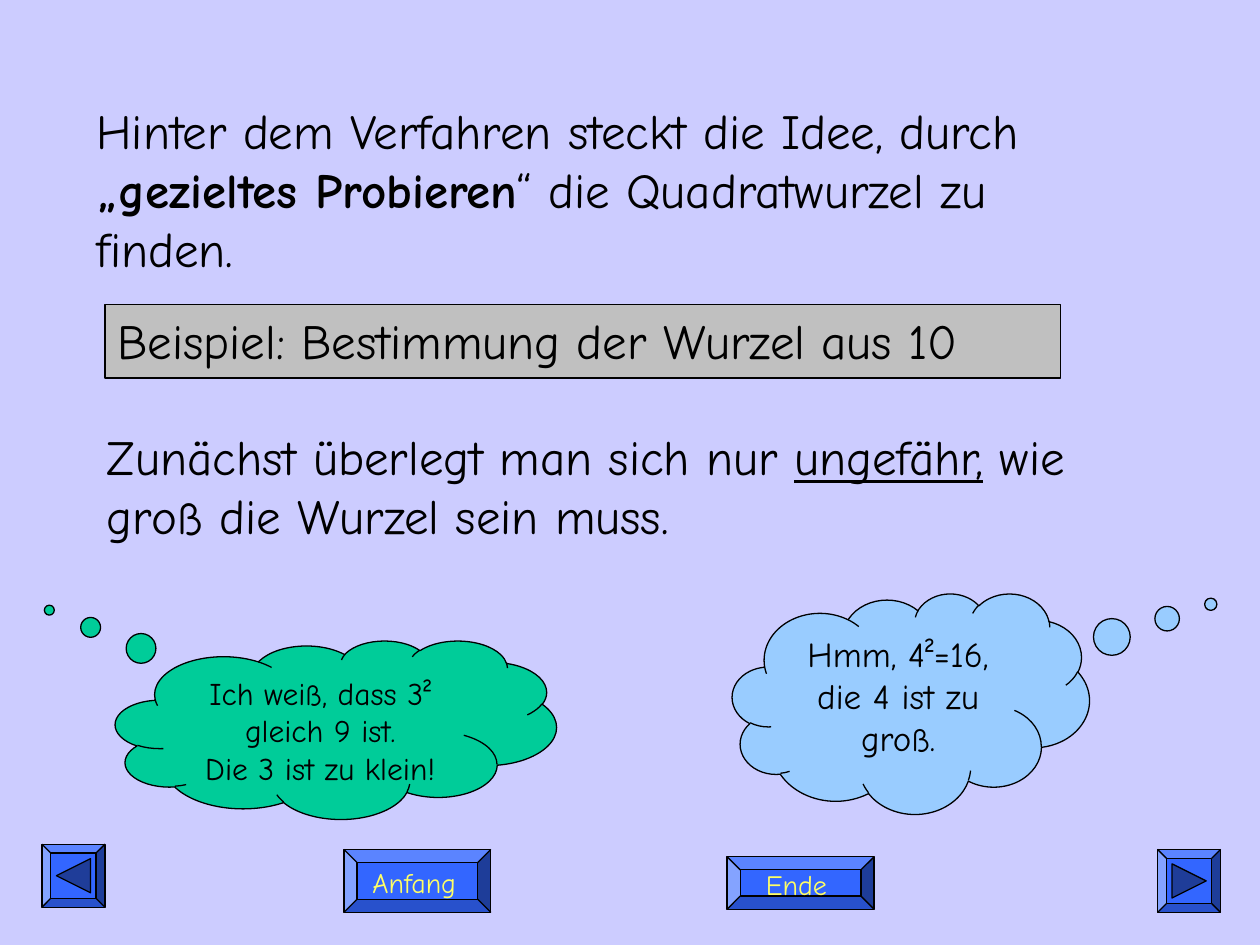
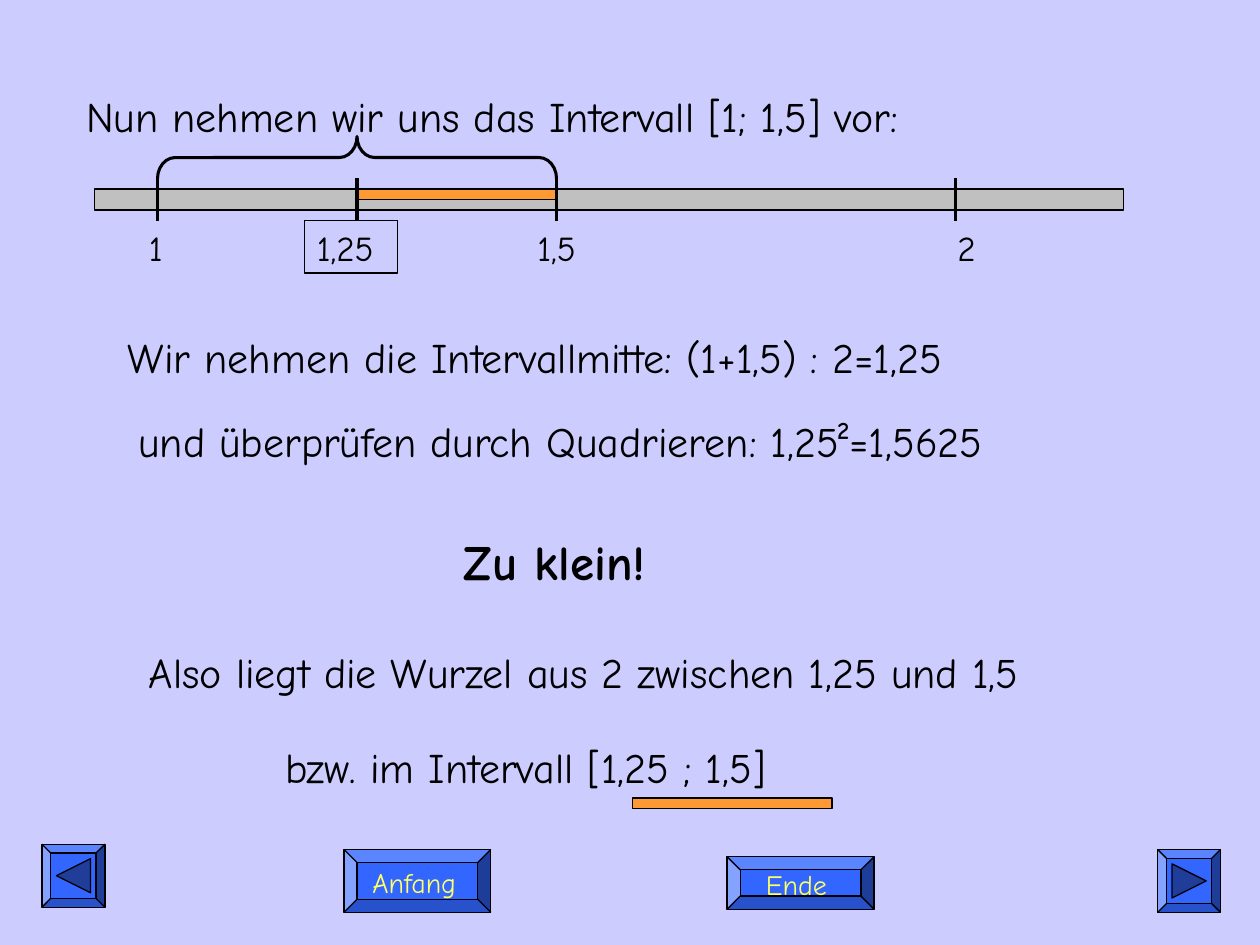
import pptx
import pptx.util
import pptx.dml.color
import pptx.enum.shapes
import pptx.enum.text
import pptx.oxml.ns
import lxml.etree

RGBColor = pptx.dml.color.RGBColor
SHAPE = pptx.enum.shapes.MSO_SHAPE
ALIGN = pptx.enum.text.PP_ALIGN

LAVENDER = RGBColor(0xCC, 0xCC, 0xFF)
BLUE = RGBColor(0x33, 0x66, 0xFF)
DARK_BLUE = RGBColor(0x1F, 0x3D, 0x99)
YELLOW = RGBColor(0xFF, 0xFF, 0x66)
SILVER = RGBColor(0xC0, 0xC0, 0xC0)
GREEN = RGBColor(0x00, 0xCC, 0x99)
SKY = RGBColor(0x99, 0xCC, 0xFF)
ORANGE = RGBColor(0xFF, 0x99, 0x33)
BLACK = RGBColor(0, 0, 0)

FONT = "Comic Neue"
COLUMNS, ROWS = 120, 90
CELL = pptx.util.Inches(10) // COLUMNS
UNIT_COLUMNS = 76
BAR_TOP, TICK_TOP, LABEL_TOP = 18, 17, 21


def cells(*counts):
    return [round(count * CELL) for count in counts]


def write(frame, paragraphs, size, color=BLACK, align=ALIGN.LEFT):
    frame.word_wrap = True
    frame.auto_size = pptx.enum.text.MSO_AUTO_SIZE.NONE
    frame.vertical_anchor = pptx.enum.text.MSO_ANCHOR.TOP
    for index, runs in enumerate(paragraphs):
        paragraph = frame.paragraphs[0] if index == 0 else frame.add_paragraph()
        paragraph.alignment = align
        for text, emphasis in runs:
            run = paragraph.add_run()
            run.text = text
            run.font.name = FONT
            run.font.size = pptx.util.Pt(size)
            run.font.color.rgb = color
            run.font.bold = emphasis == "bold"
            run.font.underline = emphasis == "underline"


def plain(*lines):
    return [[(line, "")] for line in lines]


def add_title(slide, area, paragraphs, size):
    title = slide.shapes.title
    title.left, title.top, title.width, title.height = cells(*area)
    write(title.text_frame, paragraphs, size)


def add_text(slide, area, paragraphs, size, color=BLACK):
    box = slide.shapes.add_textbox(*cells(*area))
    write(box.text_frame, paragraphs, size, color)


def add_figure(slide, kind, area, fill=None, adjustments=(), weight=0.75):
    figure = slide.shapes.add_shape(kind, *cells(*area))
    figure.shadow.inherit = False
    if fill is None:
        figure.fill.background()
    else:
        figure.fill.solid()
        figure.fill.fore_color.rgb = fill
    figure.line.color.rgb = BLACK
    figure.line.width = pptx.util.Pt(weight)
    for index, value in enumerate(adjustments):
        figure.adjustments[index] = value
    return figure


def add_thought(slide, area, tail, fill, lines, size):
    cloud = add_figure(slide, SHAPE.CLOUD_CALLOUT, area, fill, tail)
    write(cloud.text_frame, plain(*lines), size, align=ALIGN.CENTER)


def add_arrow_button(slide, left, top, rotation):
    side, arrow = 6, 3.25
    margin = (side - arrow) / 2
    add_figure(slide, SHAPE.BEVEL, (left, top, side, side), BLUE, [0.14])
    triangle = add_figure(slide, SHAPE.ISOSCELES_TRIANGLE,
                          (left + margin, top + margin, arrow, arrow), DARK_BLUE)
    triangle.rotation = rotation


def add_word_button(slide, area, bevel, label_area, label):
    add_figure(slide, SHAPE.BEVEL, area, BLUE, [bevel])
    add_text(slide, label_area, plain(label), 16, YELLOW)


def add_navigation(slide):
    add_arrow_button(slide, 4, 80.4, 270)
    add_arrow_button(slide, 110.25, 80.9, 90)
    add_word_button(slide, (32.75, 80.9, 14, 6), 0.21, (34.3, 81.8, 12, 4.5), "Anfang")
    add_word_button(slide, (69.25, 81.6, 14, 5), 0.25, (71.75, 82, 16, 4.5), "Ende")


def number_column(value):
    return 15 + (value - 1) * UNIT_COLUMNS


def add_tick(slide, value):
    column = number_column(value)
    tick = slide.shapes.add_connector(
        pptx.enum.shapes.MSO_CONNECTOR.STRAIGHT,
        *cells(column, TICK_TOP, column, LABEL_TOP))
    tick.line.color.rgb = BLACK
    tick.line.width = pptx.util.Pt(2)
    lxml.etree.SubElement(tick._element.spPr, pptx.oxml.ns.qn("a:effectLst"))


def add_number_line(slide):
    add_figure(slide, SHAPE.RECTANGLE, (9, BAR_TOP, 98, 2), SILVER)
    add_interval(slide, number_column(1.25), BAR_TOP)
    for value, label, shift, width in (
            (1, "1", 2, 5), (1.5, "1,5", 3, 8), (2, "2", 1, 9)):
        add_tick(slide, value)
        add_text(slide, (number_column(value) - shift, LABEL_TOP, width, 5.25),
                 plain(label), 20)
    add_tick(slide, 1.25)
    middle = add_figure(slide, SHAPE.RECTANGLE, (29, LABEL_TOP, 8.9, 5))
    write(middle.text_frame, plain("1,25"), 20)

    start, span, depth = number_column(1), UNIT_COLUMNS / 2, 4
    brace = add_figure(
        slide, SHAPE.LEFT_BRACE,
        (start + (span - depth) / 2, TICK_TOP - (span + depth) / 2, depth, span),
        adjustments=[0.42, 0.5], weight=1.75)
    brace.rotation = 90


def add_interval(slide, left, top):
    add_figure(slide, SHAPE.RECTANGLE, (left, top, UNIT_COLUMNS / 4, 1), ORANGE)


def build_idea(slide):
    add_title(slide, (8, 9, 100, 18), [[
        ("Hinter dem Verfahren steckt die Idee, durch ", ""),
        ("„gezieltes Probieren", "bold"),
        ("“ die Quadratwurzel zu finden.", "")]], 28)
    example = add_figure(slide, SHAPE.RECTANGLE, (10, 29, 91, 7), SILVER)
    write(example.text_frame, plain("Beispiel: Bestimmung der Wurzel aus 10"), 28)
    add_text(slide, (9, 40, 95, 12.5), [[
        ("Zunächst überlegt man sich nur ", ""),
        ("ungefähr,", "underline"),
        (" wie groß die Wurzel sein muss.", "")]], 28)
    add_thought(slide, (11, 61, 42, 17), (-0.65, -0.67), GREEN,
                ["Ich weiß, dass 3² gleich 9 ist.", "Die 3 ist zu klein!"], 18)
    add_thought(slide, (69.75, 56.5, 34, 21), (0.84, -0.45), SKY,
                ["Hmm, 4²=16, die 4 ist zu groß."], 20)


def build_interval_step(slide):
    add_title(slide, (7, 8, 104, 6),
              plain("Nun nehmen wir uns das Intervall [1; 1,5] vor:"), 24)
    for left, top, width, sentence in (
            (11, 31, 93, "Wir nehmen die Intervallmitte: (1+1,5) : 2=1,25"),
            (12, 39, 94, "und überprüfen durch Quadrieren: 1,25²=1,5625"),
            (13, 61, 95, "Also liegt die Wurzel aus 2 zwischen 1,25 und 1,5"),
            (26, 70, 67, "bzw. im Intervall [1,25 ; 1,5]")):
        add_text(slide, (left, top, width, 6), plain(sentence), 24)
    add_text(slide, (43, 50, 34, 7), [[("Zu klein!", "bold")]], 28)
    add_number_line(slide)
    add_interval(slide, 60.25, 76)


def main():
    deck = pptx.Presentation()
    deck.slide_width, deck.slide_height = cells(COLUMNS, ROWS)
    background = deck.slide_master.background.fill
    background.solid()
    background.fore_color.rgb = LAVENDER
    title_only = deck.slide_layouts[5]
    for build in (build_idea, build_interval_step):
        slide = deck.slides.add_slide(title_only)
        add_navigation(slide)
        build(slide)
    deck.save("out.pptx")


if __name__ == "__main__":
    main()
